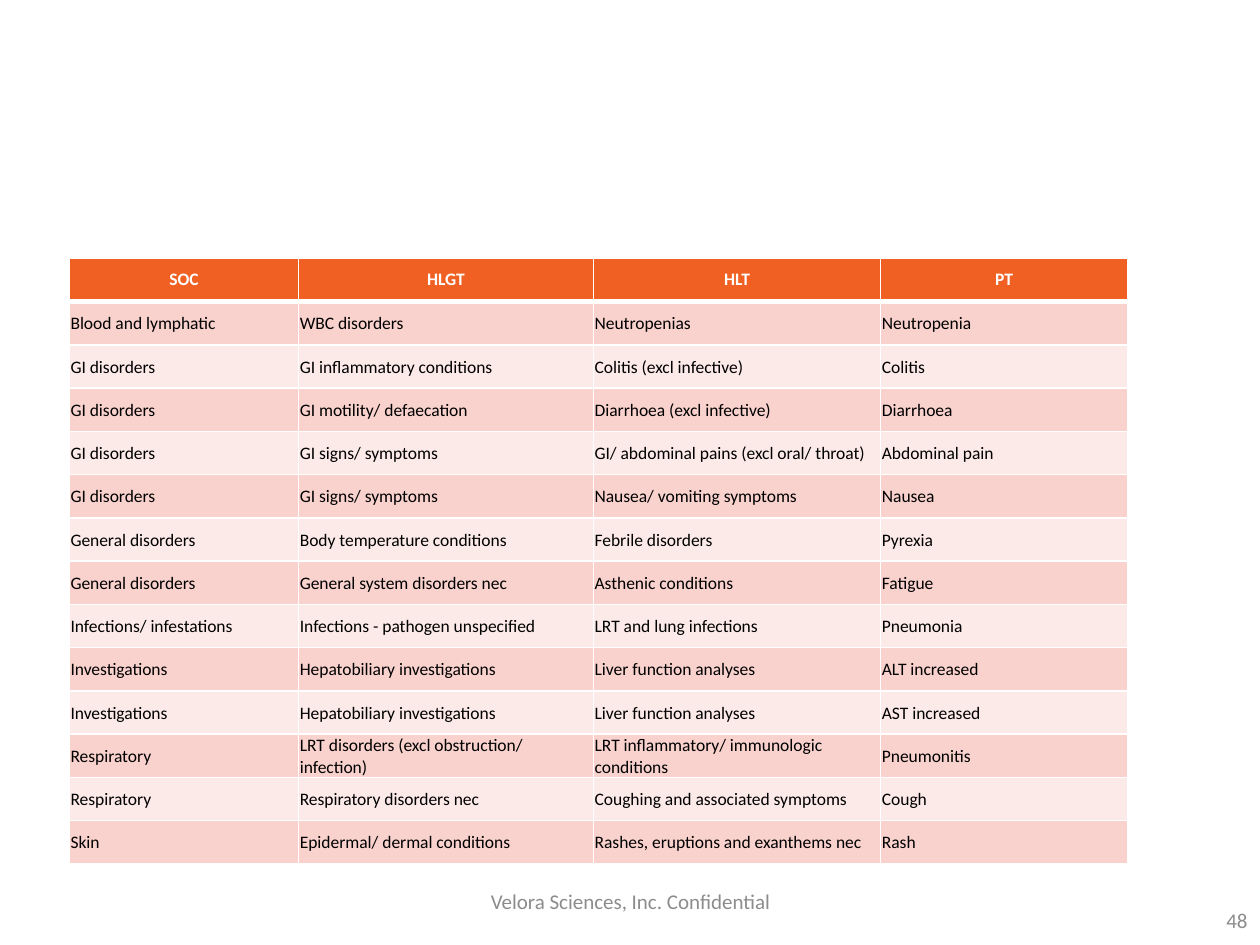
from dataclasses import dataclass

from lxml.etree import SubElement
from pptx import Presentation
from pptx.dml.color import RGBColor as Rgb
from pptx.enum.text import MSO_ANCHOR as Anchor, PP_ALIGN as Align
from pptx.oxml.ns import qn
from pptx.util import Inches, Pt


@dataclass(frozen=True)
class Theme:
    font: str = "Calibri"
    table_size: int = 10
    footer_size: int = 12
    header_fill: str = "F06022"
    band_fills: tuple = ("F9D2CD", "FCEAE8")
    header_text: str = "FFFFFF"
    body_text: str = "000000"
    footer_text: str = "8C8C8C"
    border: str = "FFFFFF"


THEME = Theme()
TABLE_HEIGHT = 4.81
COLUMN_WIDTHS = (1.82, 2.34, 2.28, 1.96)
HEADINGS = ("SOC", "HLGT", "HLT", "PT")
EVENTS = (
    ("Blood and lymphatic", "WBC disorders", "Neutropenias", "Neutropenia"),
    ("GI disorders", "GI inflammatory conditions", "Colitis (excl infective)", "Colitis"),
    ("GI disorders", "GI motility/ defaecation", "Diarrhoea (excl infective)", "Diarrhoea"),
    ("GI disorders", "GI signs/ symptoms", "GI/ abdominal pains (excl oral/ throat)", "Abdominal pain"),
    ("GI disorders", "GI signs/ symptoms", "Nausea/ vomiting symptoms", "Nausea"),
    ("General disorders", "Body temperature conditions", "Febrile disorders", "Pyrexia"),
    ("General disorders", "General system disorders nec", "Asthenic conditions", "Fatigue"),
    ("Infections/ infestations", "Infections - pathogen unspecified", "LRT and lung infections", "Pneumonia"),
    ("Investigations", "Hepatobiliary investigations", "Liver function analyses", "ALT increased"),
    ("Investigations", "Hepatobiliary investigations", "Liver function analyses", "AST increased"),
    ("Respiratory", "LRT disorders (excl obstruction/ infection)",
     "LRT inflammatory/ immunologic conditions", "Pneumonitis"),
    ("Respiratory", "Respiratory disorders nec", "Coughing and associated symptoms", "Cough"),
    ("Skin", "Epidermal/ dermal conditions", "Rashes, eruptions and exanthems nec", "Rash"),
)


def write_text(frame, text, *, size, color, align=Align.LEFT, bold=False):
    frame.word_wrap = True
    paragraph = frame.paragraphs[0]
    paragraph.alignment = align
    run = paragraph.add_run()
    run.text = text
    run.font.name = THEME.font
    run.font.size = Pt(size)
    run.font.bold = bold
    run.font.color.rgb = Rgb.from_string(color)


def add_footer(slide, text, left, top, width, align):
    footer = slide.shapes.add_textbox(Inches(left), Inches(top), Inches(width), Inches(0.4))
    footer.text_frame.vertical_anchor = Anchor.MIDDLE
    write_text(footer.text_frame, text, size=THEME.footer_size, color=THEME.footer_text, align=align)


def set_borders(cell, **widths):
    properties = cell._tc.get_or_add_tcPr()
    for index, (side, width) in enumerate(widths.items()):
        line = properties.makeelement(qn(f"a:ln{side}"), {"w": str(Pt(width))})
        fill = SubElement(line, qn("a:solidFill"))
        SubElement(fill, qn("a:srgbClr"), val=THEME.border)
        properties.insert(index, line)


def fill_cell(cell, color):
    cell.fill.solid()
    cell.fill.fore_color.rgb = Rgb.from_string(color)
    cell.vertical_anchor = Anchor.MIDDLE


def add_header_cell(cell, heading):
    fill_cell(cell, THEME.header_fill)
    set_borders(cell, L=1, R=1, T=1, B=3)
    write_text(cell.text_frame, heading, size=THEME.table_size,
               color=THEME.header_text, align=Align.CENTER, bold=True)


def add_event_cell(cell, term, event_index):
    fill_cell(cell, THEME.band_fills[event_index % 2])
    cell.margin_left = cell.margin_right = cell.margin_top = Inches(0.01)
    cell.margin_bottom = 0
    set_borders(cell, L=1, R=1, T=1 if event_index else 3, B=1)
    write_text(cell.text_frame, term, size=THEME.table_size, color=THEME.body_text)


def add_event_table(slide):
    row_count = len(EVENTS) + 1
    table = slide.shapes.add_table(
        row_count, len(HEADINGS), Inches(0.55), Inches(2.05),
        Inches(sum(COLUMN_WIDTHS)), Inches(TABLE_HEIGHT)).table
    for column, width in zip(table.columns, COLUMN_WIDTHS):
        column.width = Inches(width)
    for row in table.rows:
        row.height = Inches(TABLE_HEIGHT / row_count)
    for column, heading in enumerate(HEADINGS):
        add_header_cell(table.cell(0, column), heading)
    for event_index, terms in enumerate(EVENTS):
        for column, term in enumerate(terms):
            add_event_cell(table.cell(event_index + 1, column), term, event_index)


def main():
    deck = Presentation()
    deck.slide_width, deck.slide_height = Inches(10), Inches(7.5)
    slide = deck.slides.add_slide(deck.slide_layouts[6])
    add_footer(slide, "Velora Sciences, Inc. Confidential", 3.42, 6.95, 3.17, Align.CENTER)
    add_event_table(slide)
    add_footer(slide, "48", 7.67, 7.1, 2.33, Align.RIGHT)
    deck.save("out.pptx")


if __name__ == "__main__":
    main()
